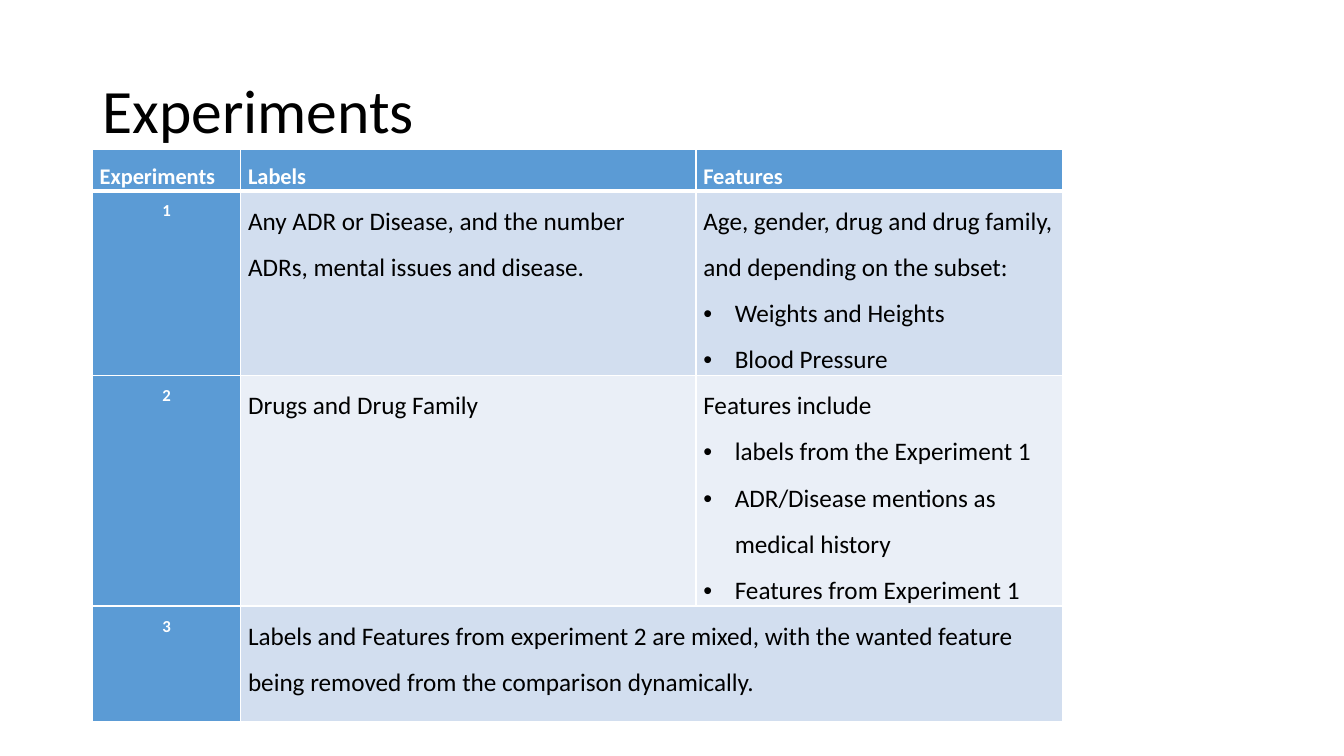
from lxml.etree import SubElement
from pptx import Presentation
from pptx.dml.color import RGBColor
from pptx.enum.text import MSO_ANCHOR, PP_ALIGN
from pptx.oxml.ns import qn
from pptx.util import Pt

WHITE = RGBColor(0xFF, 0xFF, 0xFF)
BLACK = RGBColor(0x00, 0x00, 0x00)
BLUE = RGBColor(0x5B, 0x9B, 0xD5)
BAND_DARK = RGBColor(0xD2, 0xDE, 0xEF)
BAND_LIGHT = RGBColor(0xEA, 0xEF, 0xF7)

COLUMN_WIDTHS = [106, 325.2, 262]
ROW_HEIGHTS = [28, 132, 164, 82.8]
BULLET = "• "
HEADINGS = ["Experiments", "Labels", "Features"]
EXPERIMENTS = [
    [
        ["Any ADR or Disease, and the number ADRs, mental issues and disease."],
        [
            "Age, gender, drug and drug family, and depending on the subset:",
            BULLET + "Weights and Heights",
            BULLET + "Blood Pressure",
        ],
    ],
    [
        ["Drugs and Drug Family"],
        [
            "Features include",
            BULLET + "labels from the Experiment 1",
            BULLET + "ADR/Disease mentions as medical history",
            BULLET + "Features from Experiment 1",
        ],
    ],
    [
        [
            "Labels and Features from experiment 2 are mixed, with the wanted "
            "feature being removed from the comparison dynamically."
        ],
    ],
]


def add_bullet(para):
    properties = para._p.get_or_add_pPr()
    properties.set("marL", str(Pt(22.5)))
    properties.set("indent", str(-Pt(22.5)))
    SubElement(properties, qn("a:buFont"), typeface="Arial")
    SubElement(properties, qn("a:buChar"), char=BULLET.strip())


def write_text(frame, lines, size=18, color=BLACK, bold=False,
               align=PP_ALIGN.LEFT, spacing=1.5):
    for index, line in enumerate(lines):
        para = frame.add_paragraph() if index else frame.paragraphs[0]
        para.alignment = align
        para.line_spacing = spacing
        if line.startswith(BULLET):
            add_bullet(para)
        span = para.add_run()
        span.text = line.removeprefix(BULLET)
        span.font.name = "Calibri"
        span.font.size = Pt(size)
        span.font.bold = bold
        span.font.color.rgb = color


def add_borders(cell, top=1, bottom=1):
    properties = cell._tc.get_or_add_tcPr()
    for side, width in [("L", 1), ("R", 1), ("T", top), ("B", bottom)]:
        line = SubElement(properties, qn(f"a:ln{side}"), w=str(Pt(width)))
        fill = SubElement(line, qn("a:solidFill"))
        SubElement(fill, qn("a:srgbClr"), val=str(WHITE))


def fill_cell(cell, lines, fill, top=1, bottom=1, **text_format):
    cell.margin_left = cell.margin_right = Pt(5.2)
    cell.margin_top = cell.margin_bottom = 0
    add_borders(cell, top, bottom)
    cell.fill.solid()
    cell.fill.fore_color.rgb = fill
    write_text(cell.text_frame, lines, **text_format)


def add_title(page, text):
    title = page.shapes.title
    title.left, title.top = Pt(66), Pt(28.8)
    title.width, title.height = Pt(828), Pt(104.4)
    title.text_frame.vertical_anchor = MSO_ANCHOR.MIDDLE
    write_text(title.text_frame, [text], size=44, spacing=0.9)


def add_experiment_table(page):
    table = page.shapes.add_table(
        len(ROW_HEIGHTS), len(COLUMN_WIDTHS), Pt(66), Pt(106.8),
        Pt(sum(COLUMN_WIDTHS)), Pt(sum(ROW_HEIGHTS))).table
    for column, width in zip(table.columns, COLUMN_WIDTHS):
        column.width = Pt(width)
    for row, height in zip(table.rows, ROW_HEIGHTS):
        row.height = Pt(height)
    for column, heading in enumerate(HEADINGS):
        fill_cell(table.cell(0, column), [heading], BLUE, bottom=3,
                  size=16, color=WHITE, bold=True)
    for row, contents in enumerate(EXPERIMENTS, start=1):
        top = 3 if row == 1 else 1
        band = BAND_DARK if row % 2 else BAND_LIGHT
        fill_cell(table.cell(row, 0), [str(row)], BLUE, top=top, size=12,
                  color=WHITE, bold=True, align=PP_ALIGN.CENTER)
        if len(contents) == 1:
            table.cell(row, 1).merge(table.cell(row, 2))
        for column, lines in enumerate(contents, start=1):
            fill_cell(table.cell(row, column), lines, band, top=top)


def main():
    deck = Presentation()
    deck.slide_width, deck.slide_height = Pt(960), Pt(540)
    page = deck.slides.add_slide(deck.slide_layouts[5])
    add_title(page, "Experiments")
    add_experiment_table(page)
    deck.save("out.pptx")


if __name__ == "__main__":
    main()
